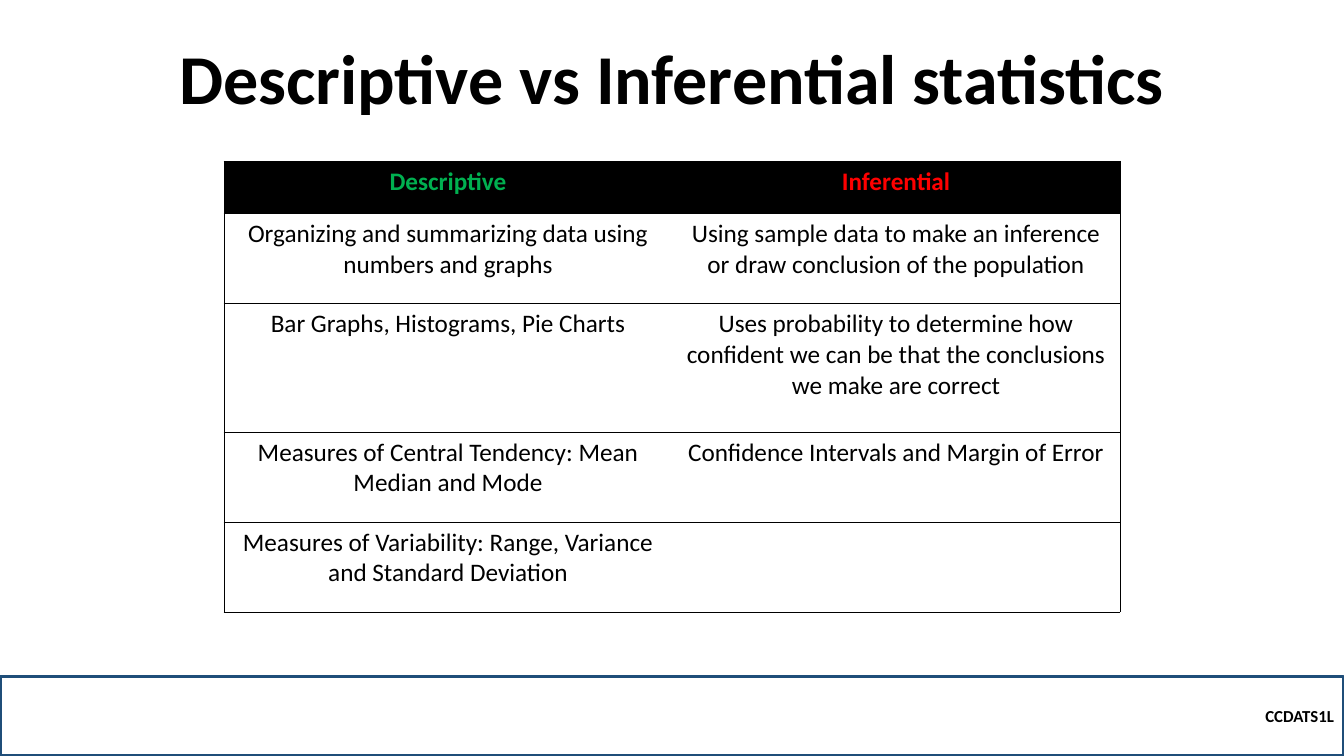
from lxml.etree import SubElement
from pptx import Presentation
from pptx.dml.color import RGBColor
from pptx.enum.shapes import MSO_SHAPE as Preset
from pptx.enum.text import MSO_ANCHOR as Anchor, PP_ALIGN as Align
from pptx.oxml.ns import qn
from pptx.util import Inches, Pt

COLORS = {
    "black": "000000",
    "white": "FFFFFF",
    "navy": "1F4E79",
    "green": "00B050",
    "red": "FF0000",
}
COLUMNS, ROWS = 12, 75
HEADERS = [("Descriptive", "green"), ("Inferential", "red")]
COMPARISONS = [
    ("Organizing and summarizing data using numbers and graphs",
     "Using sample data to make an inference or draw conclusion of the population"),
    ("Bar Graphs, Histograms, Pie Charts",
     "Uses probability to determine how confident we can be that the conclusions we make are correct"),
    ("Measures of Central Tendency: Mean Median and Mode",
     "Confidence Intervals and Margin of Error"),
    ("Measures of Variability: Range, Variance and Standard Deviation", ""),
]
ROW_HEIGHTS = [5.2, 8.93, 12.75, 8.93, 8.93]


class StatisticsSlide:
    """Draws styled elements on one slide, placed on a grid of 12 columns by 75 rows."""

    font_name = "Calibri"

    def __init__(self, presentation):
        self.column = presentation.slide_width / COLUMNS
        self.row = presentation.slide_height / ROWS
        self.slide = presentation.slides.add_slide(presentation.slide_layouts[6])

    def place(self, left, top, width, height):
        return (round(left * self.column), round(top * self.row),
                round(width * self.column), round(height * self.row))

    def set_text(self, frame, text, size, color="black", bold=True, align=Align.CENTER):
        paragraph = frame.paragraphs[0]
        paragraph.text = text
        paragraph.alignment = align
        font = paragraph.font
        font.name, font.size, font.bold = self.font_name, Pt(size), bold
        font.color.rgb = RGBColor.from_string(COLORS[color])
        return paragraph

    def title(self, text, *area):
        frame = self.slide.shapes.add_textbox(*self.place(*area)).text_frame
        frame.word_wrap = True
        frame.vertical_anchor = Anchor.BOTTOM
        self.set_text(frame, text, 50).line_spacing = 0.9

    def footer(self, text, *area):
        shape = self.slide.shapes.add_shape(Preset.RECTANGLE, *self.place(*area))
        shape.shadow.inherit = False
        shape.fill.background()
        shape.line.color.rgb = RGBColor.from_string(COLORS["navy"])
        shape.line.width = Pt(2.25)
        shape.text_frame.vertical_anchor = Anchor.MIDDLE
        self.set_text(shape.text_frame, text, 12, align=Align.RIGHT)

    def borders(self, cell, sides):
        properties = cell._tc.get_or_add_tcPr()
        for side in "LRTB":
            line = SubElement(properties, qn(f"a:ln{side}"), w=str(Pt(0.5)))
            if side in sides:
                fill = SubElement(line, qn("a:solidFill"))
                SubElement(fill, qn("a:srgbClr"), val=COLORS["black"])
            else:
                SubElement(line, qn("a:noFill"))

    def cell(self, cell, text, sides, fill, color="black", bold=False):
        self.borders(cell, sides)
        cell.fill.solid()
        cell.fill.fore_color.rgb = RGBColor.from_string(COLORS[fill])
        self.set_text(cell.text_frame, text, 18, color, bold)

    def table(self, headers, body, heights, left, top, width):
        area = self.place(left, top, width, sum(heights))
        table = self.slide.shapes.add_table(len(heights), len(headers), *area).table
        for row, height in zip(table.rows, heights):
            row.height = round(height * self.row)
        outer_sides = ("LTB", "RTB")
        for index, (text, color) in enumerate(headers):
            self.cell(table.cell(0, index), text, outer_sides[index], "black", color, True)
        for row_index, texts in enumerate(body, 1):
            for index, text in enumerate(texts):
                self.cell(table.cell(row_index, index), text, outer_sides[index], "white")


def main():
    presentation = Presentation()
    presentation.slide_width, presentation.slide_height = Inches(13.33), Inches(7.5)
    slide = StatisticsSlide(presentation)
    slide.footer("CCDATS1L", 0, 67.1, COLUMNS, 7.9)
    slide.table(HEADERS, COMPARISONS, ROW_HEIGHTS, 2, 16, 8)
    slide.title("Descriptive vs Inferential statistics", 1.11, 4.5, 9.78, 7.9)
    presentation.save("out.pptx")


if __name__ == "__main__":
    main()
